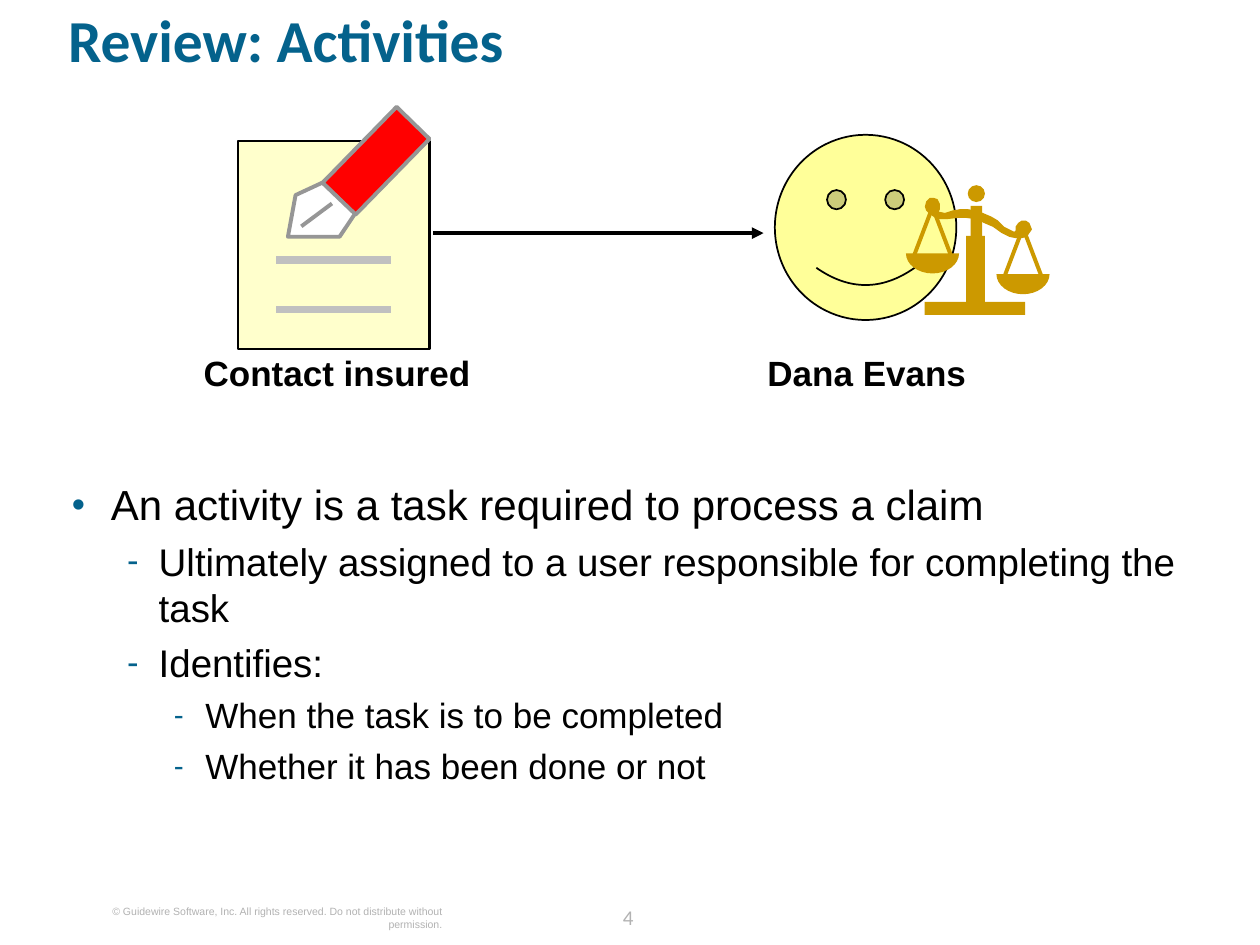
from dataclasses import dataclass
from math import cos, pi, sin

from lxml.etree import SubElement
from pptx import Presentation
from pptx.dml.color import RGBColor
from pptx.enum.shapes import MSO_CONNECTOR as Connector, MSO_SHAPE as Shape
from pptx.enum.text import MSO_ANCHOR as Anchor, PP_ALIGN as Align
from pptx.oxml.ns import qn
from pptx.util import Inches, Pt


@dataclass(frozen=True)
class Theme:
    heading: str = "Calibri"
    body: str = "Arial"
    blue: str = "04628C"
    black: str = "000000"
    footer: str = "B2B2B2"
    face: str = "FFFF99"
    gold: str = "CC9900"
    paper: str = "FFFFCC"
    rule: str = "C0C0C0"
    pen: str = "FF0000"
    nib: str = "FFFFFF"
    outline: str = "969696"
    title_size: int = 34
    label_size: int = 20
    number_size: int = 12
    copyright_size: int = 6
    level_sizes: tuple = (24, 22, 20)


@dataclass(frozen=True)
class Box:
    """A region in inches; what it holds is given as shares of it."""
    left: float
    top: float
    width: float
    height: float

    def point(self, x, y):
        return (Inches(self.left + x * self.width),
                Inches(self.top + y * self.height))

    def area(self, x, y, width, height):
        return Box(self.left + x * self.width, self.top + y * self.height,
                   width * self.width, height * self.height)

    def emu(self):
        return [Inches(n) for n in (self.left, self.top, self.width, self.height)]


THEME = Theme()
PAGE = Box(0, 0, 10, 7.5)
# Level: left margin, hanging indent, bullet, bullet size in percent
LEVELS = ((0.31, 0.31, "•", 90), (0.69, 0.25, "-", 90), (1.06, 0.25, "-", 85))
BULLETS = (
    (0, "An activity is a task required to process a claim"),
    (1, "Ultimately assigned to a user responsible for completing the task"),
    (1, "Identifies:"),
    (2, "When the task is to be completed"),
    (2, "Whether it has been done or not"),
)
# Outline of the balance beam, in hundredths of an inch from the scales' corner
BEAM = (
    (100, 35), (98, 30), (95, 28), (92, 28), (89, 30), (87, 33), (87, 36),
    (86, 37), (82, 35), (78, 33), (73, 28), (68, 25), (61, 22), (55, 20),
    (49, 19), (43, 19), (37, 20), (31, 22), (26, 21), (27, 19), (27, 15),
    (25, 11), (22, 10), (19, 10), (16, 13), (15, 17), (16, 20), (19, 23),
    (22, 25), (26, 27), (32, 27), (41, 26), (48, 26), (56, 27), (62, 30),
    (69, 33), (76, 38), (82, 41), (87, 42), (92, 42), (96, 41), (98, 38),
)


def set_look(shape, fill, line=None, weight=1):
    shape.shadow.inherit = False
    shape.fill.solid()
    shape.fill.fore_color.rgb = RGBColor.from_string(fill)
    if line:
        shape.line.color.rgb = RGBColor.from_string(line)
        shape.line.width = Pt(weight)
    else:
        shape.line.fill.background()


def add_preset(slide, kind, box, fill, line=None, weight=1, rotation=0):
    shape = slide.shapes.add_shape(kind, *box.emu())
    shape.rotation = rotation
    set_look(shape, fill, line, weight)


def add_outline(slide, box, points, fill, line=None, weight=1):
    first, *rest = [box.point(x, y) for x, y in points]
    builder = slide.shapes.build_freeform(*first, scale=1.0)
    builder.add_line_segments(rest, close=True)
    set_look(builder.convert_to_shape(), fill, line, weight)


def add_line(slide, start, end, color, weight, arrow=False):
    line = slide.shapes.add_connector(Connector.STRAIGHT, *start, *end)
    line.line.color.rgb = RGBColor.from_string(color)
    line.line.width = Pt(weight)
    properties = line._element.spPr
    if arrow:
        SubElement(properties.find(qn("a:ln")), qn("a:tailEnd"), type="triangle")
    SubElement(properties, qn("a:effectLst"))


def add_bullet(paragraph, level):
    margin, hanging, character, percent = LEVELS[level]
    paragraph.level = level
    properties = paragraph._p.get_or_add_pPr()
    properties.set("marL", str(Inches(margin)))
    properties.set("indent", str(-Inches(hanging)))
    color = SubElement(properties, qn("a:buClr"))
    SubElement(color, qn("a:srgbClr"), val=THEME.blue)
    SubElement(properties, qn("a:buSzPct"), val=str(percent * 1000))
    SubElement(properties, qn("a:buFont"), typeface=THEME.body)
    SubElement(properties, qn("a:buChar"), char=character)


def write(paragraph, text, size, font=THEME.body, color=THEME.black, bold=False,
          align=Align.LEFT, line_spacing=None, before=None):
    run = paragraph.add_run()
    run.text = text
    run.font.name, run.font.size, run.font.bold = font, Pt(size), bold
    run.font.color.rgb = RGBColor.from_string(color)
    paragraph.alignment = align
    paragraph.line_spacing = line_spacing
    paragraph.space_before = before


def add_frame(slide, box):
    frame = slide.shapes.add_textbox(*box.emu()).text_frame
    frame.word_wrap = True
    frame.vertical_anchor = Anchor.TOP
    frame.margin_left = frame.margin_right = 0
    frame.margin_top = frame.margin_bottom = 0
    return frame


def add_text(slide, box, text, **style):
    write(add_frame(slide, box).paragraphs[0], text, **style)


def add_label(slide, box, text):
    add_text(slide, box, text, size=THEME.label_size, bold=True, align=Align.CENTER)


def draw_activity(slide, box):
    """Written page with a fountain pen over its upper right corner."""
    add_preset(slide, Shape.RECTANGLE, box, THEME.paper, THEME.black, 1.5)
    for y in (0.57, 0.81):
        add_line(slide, box.point(0.2, y), box.point(0.8, y), THEME.rule, 4.5)
    pen = dict(line=THEME.outline, weight=2.25)
    add_preset(slide, Shape.RECTANGLE, box.area(0.6, -0.16, 0.24, 0.51),
               THEME.pen, rotation=44.3, **pen)
    nib = ((0.44, 0.2), (0.3, 0.26), (0.26, 0.46), (0.53, 0.46), (0.61, 0.35))
    add_outline(slide, box, nib, THEME.nib, **pen)
    add_line(slide, box.point(0.49, 0.3), box.point(0.33, 0.41), THEME.outline, 2.25)


def draw_pan(slide, box):
    """Half-round pan hung from two mirrored strings."""
    steps = 16
    bowl = [(0.5 - 0.5 * cos(pi * i / steps), 0.69 + 0.31 * sin(pi * i / steps))
            for i in range(steps + 1)]
    string = ((0.19, 0.73), (0.52, 0.02), (0.45, 0), (0.12, 0.71))
    mirrored = [(1 - x, y) for x, y in string]
    for points in (bowl, string, mirrored):
        add_outline(slide, box, points, THEME.gold)


def draw_scales(slide, box):
    add_outline(slide, box, [(x / 114, y / 103) for x, y in BEAM], THEME.gold)
    for x, y in ((0, 0.18), (0.63, 0.34)):
        draw_pan(slide, box.area(x, y, 0.37, 0.5))
    # Neck, post, base and finial
    for kind, share in ((Shape.RECTANGLE, (0.45, 0.16, 0.08, 0.33)),
                        (Shape.RECTANGLE, (0.42, 0.39, 0.13, 0.53)),
                        (Shape.RECTANGLE, (0.13, 0.9, 0.7, 0.1)),
                        (Shape.OVAL, (0.43, 0, 0.12, 0.13))):
        add_preset(slide, kind, box.area(*share), THEME.gold)


def draw_diagram(slide, box):
    """Activity on the left, assigned to the user on the right."""
    add_preset(slide, Shape.SMILEY_FACE, Box(6.15, 1.07, 1.44, 1.47),
               THEME.face, THEME.black)
    draw_scales(slide, Box(7.19, 1.47, 1.14, 1.03))
    draw_activity(slide, Box(1.89, 1.12, 1.52, 1.65))
    add_line(slide, box.point(0.344, 0.5), box.point(0.606, 0.5),
             THEME.black, 2.25, arrow=True)
    add_label(slide, box.area(0.129, 0.876, 0.277, 0.13), "Contact insured")
    add_label(slide, box.area(0.586, 0.876, 0.204, 0.13), "Dana Evans")


def draw_bullets(slide, box):
    frame = add_frame(slide, box)
    for index, (level, text) in enumerate(BULLETS):
        paragraph = frame.add_paragraph() if index else frame.paragraphs[0]
        add_bullet(paragraph, level)
        write(paragraph, text, THEME.level_sizes[level],
              before=Pt(5) if index else None)


def draw_footer(slide, box):
    add_text(slide, box.area(0.061, 0.16, 0.29, 0.5),
             "© Guidewire Software, Inc. All rights reserved. "
             "Do not distribute without permission.",
             size=THEME.copyright_size, color=THEME.footer, align=Align.RIGHT)
    add_text(slide, box.area(0.47, 0, 0.057, 0.6), "4", size=THEME.number_size,
             font=THEME.heading, color=THEME.footer, align=Align.CENTER,
             line_spacing=Pt(18))


def main():
    presentation = Presentation()
    presentation.slide_width, presentation.slide_height = PAGE.emu()[2:]
    slide = presentation.slides.add_slide(presentation.slide_layouts[6])
    draw_footer(slide, PAGE.area(0, 0.95, 1, 0.05))
    add_text(slide, Box(0.54, 0.13, 9.1, 0.81), "Review: Activities",
             size=THEME.title_size, font=THEME.heading, color=THEME.blue,
             bold=True, line_spacing=0.8)
    draw_bullets(slide, Box(0.57, 3.8, 9.1, 3.19))
    draw_diagram(slide, Box(0, 0.6, 10, 2.5))
    presentation.save("out.pptx")


if __name__ == "__main__":
    main()
